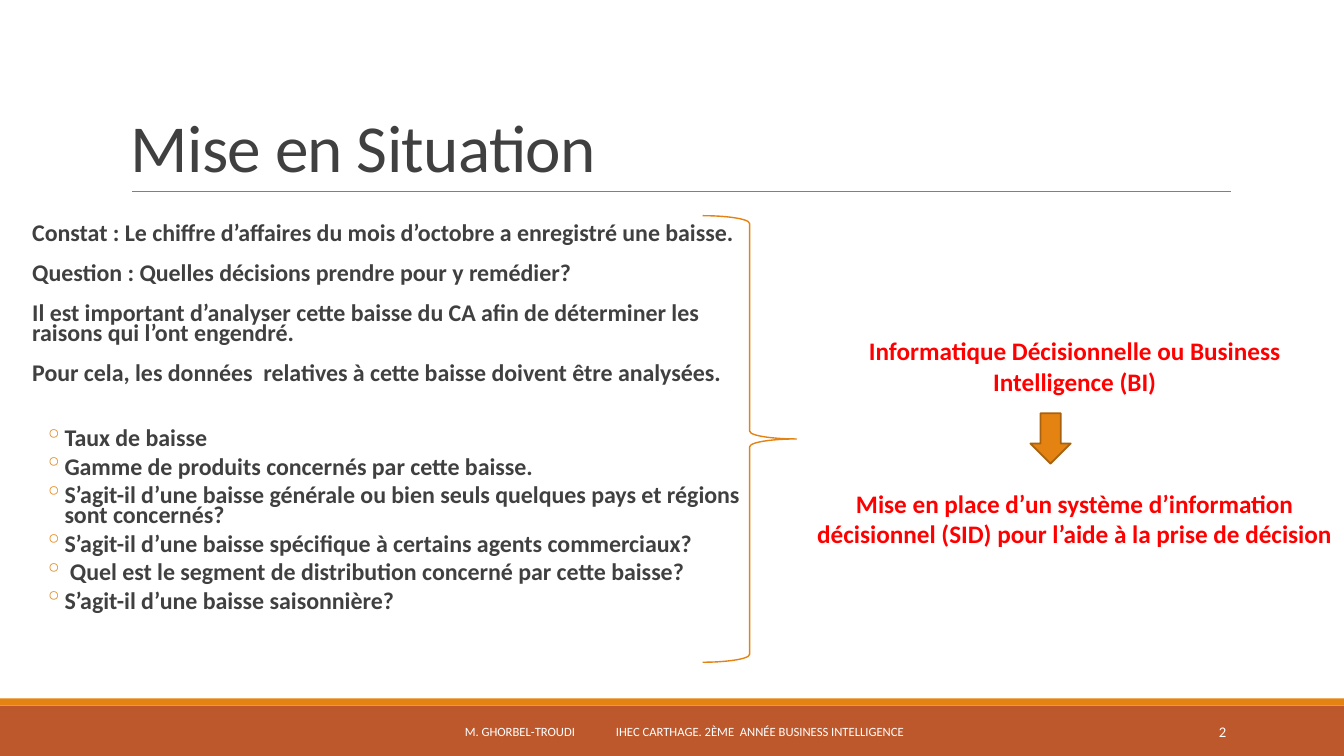
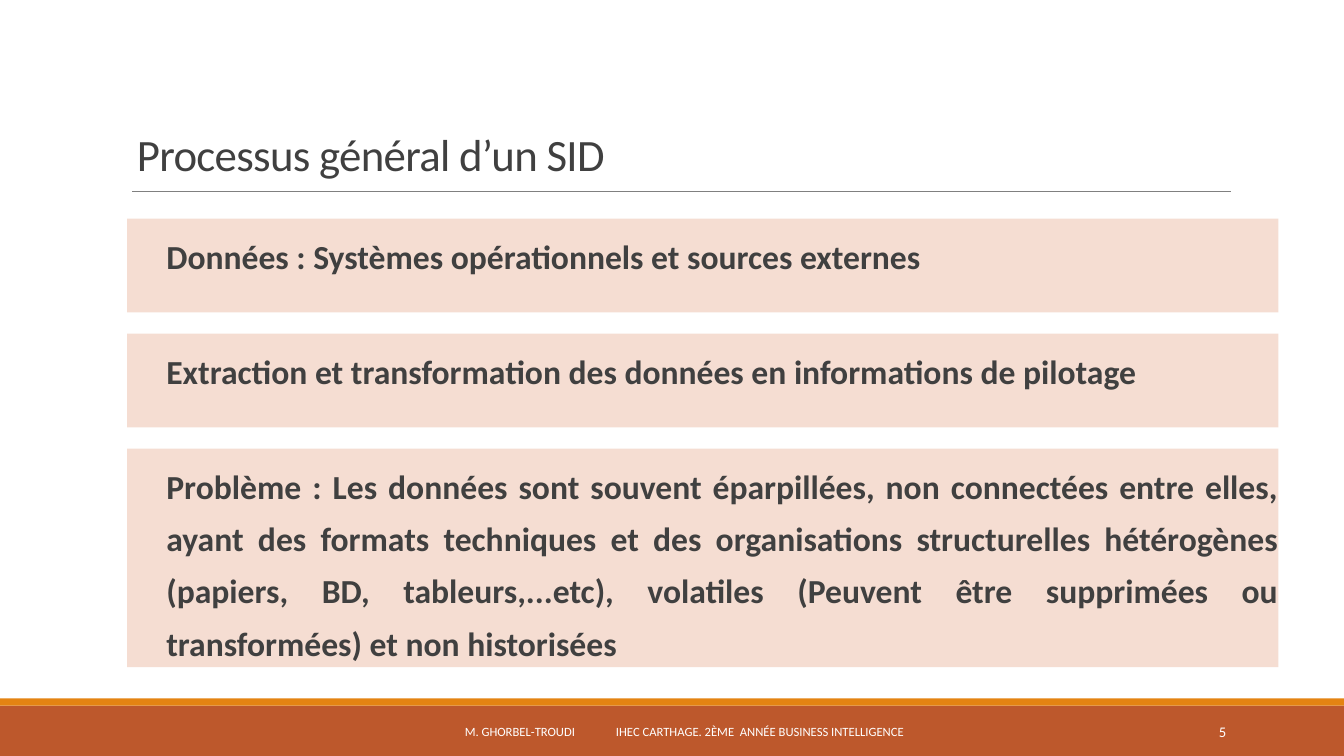
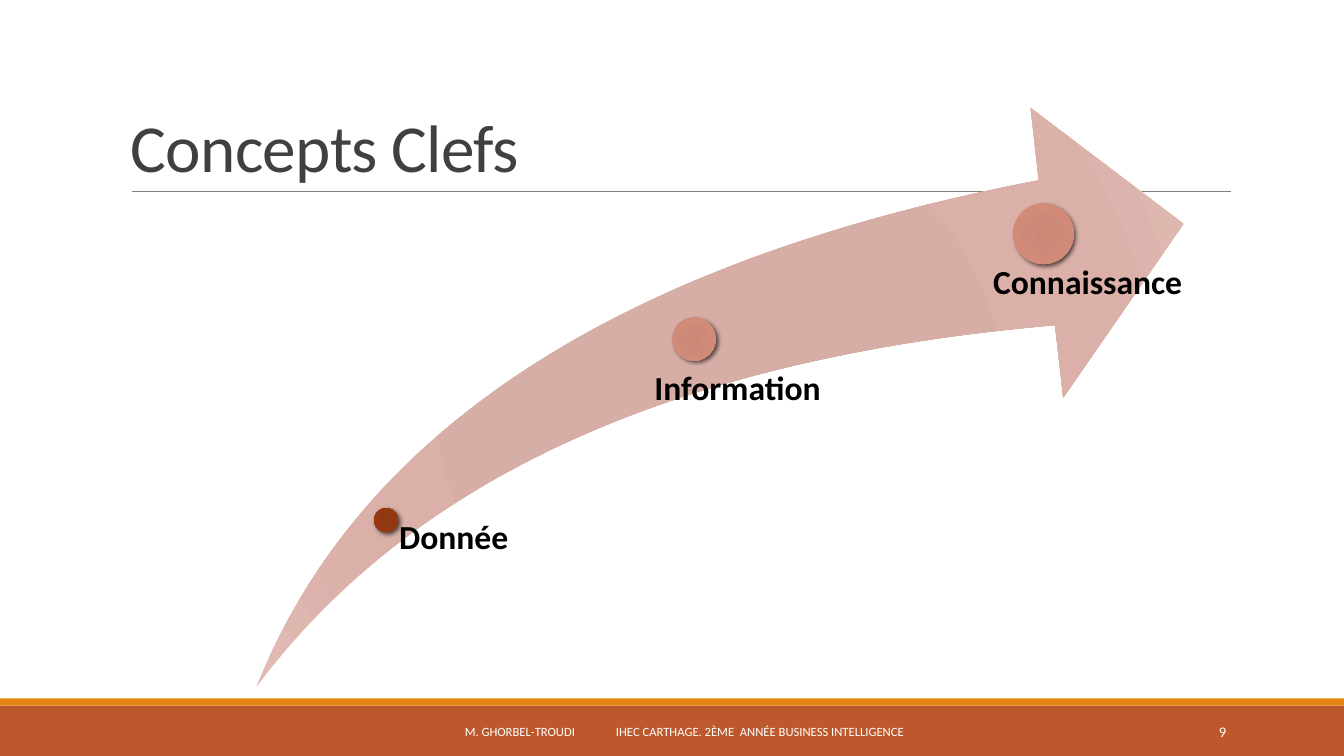
from pptx import Presentation
from pptx.dml.color import RGBColor
from pptx.enum.shapes import MSO_CONNECTOR, MSO_SHAPE
from pptx.enum.text import MSO_ANCHOR, PP_ALIGN
from pptx.oxml import parse_xml
from pptx.oxml.ns import nsdecls
from pptx.util import Pt

UNIT = 9144  # EMU in one px, 100 px to the inch
WIDE, HIGH = 1333, 750
FONT = "Calibri"
RUST, ORANGE, EDGE = "BD582C", "E48312", "A9610D"
INK, WHITE, BLACK, RED, GREY = "404040", "FFFFFF", "000000", "FF0000", "808080"
PEACH = "F5DDD2"
SWOOSH = ["D4ACA4", "D6AEA6", "DAB0A8", "E0BBB4"]
DARK = ["91370F", "903812", "953810", "913F1B"]
ROSE = ["CC8775", "CD8A78", "D18B78", "D49585"]
STOPS = [0, 34, 70, 100]


def px(n):
    return round(n * UNIT)


def color(code):
    return RGBColor.from_string(code)


def node(xml):
    """Parse one drawing element such as '<a:effectLst/>'."""
    head, mark, tail = xml.partition(">")
    slash = "/" if head.endswith("/") else ""
    return parse_xml(f"{head.rstrip('/')} {nsdecls('a')}{slash}{mark}{tail}")


# Elements

def shape(slide, kind, box, fill=None, line=None, width=1):
    item = slide.shapes.add_shape(kind, *map(px, box))
    item.shadow.inherit = False
    if fill:
        item.fill.solid()
        item.fill.fore_color.rgb = color(fill)
    else:
        item.fill.background()
    if line:
        item.line.color.rgb = color(line)
        item.line.width = Pt(width)
    else:
        item.line.fill.background()
    return item


def blend(item, tones):
    """Fill with a round gradient that starts in the lower right corner."""
    stops = "".join(
        f'<a:gs pos="{at * 1000}"><a:srgbClr val="{tone}"/></a:gs>'
        for at, tone in zip(STOPS, tones))
    grad = node(
        f'<a:gradFill rotWithShape="1"><a:gsLst>{stops}</a:gsLst>'
        '<a:path path="circle"><a:fillToRect l="100000" t="100000" '
        'r="100000" b="100000"/></a:path></a:gradFill>')
    props = item.fill._xPr
    props.replace(props.find("{*}noFill"), grad)


def shade(item):
    item._element.spPr.find("{*}effectLst").append(node(
        '<a:outerShdw blurRad="38100" dist="25400" dir="2700000">'
        '<a:srgbClr val="000000"><a:alpha val="60000"/></a:srgbClr>'
        '</a:outerShdw>'))


def rule(slide, x1, y1, x2, y2):
    line = slide.shapes.add_connector(
        MSO_CONNECTOR.STRAIGHT, *map(px, (x1, y1, x2, y2)))
    line.line.color.rgb = color(GREY)
    line.line.width = Pt(0.5)
    line._element.spPr.append(node("<a:effectLst/>"))


def area(slide, box):
    return slide.shapes.add_textbox(*map(px, box))


def text(item, *lines, size=18, ink=INK, bold=False, align=PP_ALIGN.LEFT,
         anchor=MSO_ANCHOR.TOP, inset=(10, 5, 10, 5), space=1.0, before=0,
         after=0, lead=None, left=0, hang=0, bullet=None, tab=None,
         track=None):
    """Add paragraphs to an item; lead is the space before the first one."""
    frame = item.text_frame
    frame.word_wrap = True
    frame.vertical_anchor = anchor
    (frame.margin_left, frame.margin_top,
     frame.margin_right, frame.margin_bottom) = map(px, inset)
    for i, line in enumerate(lines):
        para = frame.paragraphs[0] if not frame.text else frame.add_paragraph()
        para.alignment = align
        para.line_spacing = space
        para.space_before = Pt(lead if lead and i == 0 else before)
        para.space_after = Pt(after)
        props = para._p.get_or_add_pPr()
        props.set("marL", str(px(left)))
        props.set("indent", str(px(-hang)))
        if bullet:
            props.append(node(
                f'<a:buClr><a:srgbClr val="{ORANGE}"/></a:buClr>'))
            props.append(node(f'<a:buChar char="{bullet}"/>'))
        if tab:
            props.append(node(
                f'<a:tabLst><a:tab pos="{px(tab)}" algn="l"/></a:tabLst>'))
        run = para.add_run()
        run.text = line
        run.font.name = FONT
        run.font.size = Pt(size)
        run.font.bold = bold
        run.font.color.rgb = color(ink)
        if track:
            run._r.get_or_add_rPr().set("spc", str(track))


def base(deck, title, page, box=(120, 31, 1100, 159), size=48, space=0.85):
    """Start a slide with its bands, title and footer."""
    slide = deck.slides.add_slide(deck.slide_layouts[6])
    shape(slide, MSO_SHAPE.RECTANGLE, (0, 700, WIDE, 50), RUST)
    shape(slide, MSO_SHAPE.RECTANGLE, (0, 693, WIDE, 7), ORANGE)
    rule(slide, 131, 190, 1221, 190)
    text(area(slide, box), title, size=size, space=space,
         anchor=MSO_ANCHOR.BOTTOM, track=-50)
    text(area(slide, (403, 706, 527, 40)),
         "M. GHORBEL-TROUDI\tIHEC CARTHAGE. 2ÈME  ANNÉE BUSINESS INTELLIGENCE",
         size=9, ink=WHITE, anchor=MSO_ANCHOR.MIDDLE,
         inset=(58, 5, 10, 5), tab=126)
    text(area(slide, (1083, 706, 143, 40)), str(page), size=10.5, ink=WHITE,
         align=PP_ALIGN.RIGHT, anchor=MSO_ANCHOR.MIDDLE)
    return slide


# Slides

def context(deck):
    slide = base(deck, "Mise en Situation", 2)
    body = area(slide, (22, 219, 717, 440))
    look = dict(size=17.1, bold=True, inset=(0, 5, 0, 5), space=0.7)
    text(body,
         "Constat : Le chiffre d’affaires du mois d’octobre a enregistré une baisse.",
         "Question : Quelles décisions prendre pour y remédier?",
         "Il est important d’analyser cette baisse du CA afin de déterminer les raisons qui l’ont engendré.",
         "Pour cela, les données  relatives à cette baisse doivent être analysées.",
         before=12, after=2, left=10, **look)
    text(body,
         "Taux de baisse",
         "Gamme de produits concernés par cette baisse.",
         "S’agit-il d’une baisse générale ou bien seuls quelques pays et régions sont concernés?",
         "S’agit-il d’une baisse spécifique à certains agents commerciaux?",
         " Quel est le segment de distribution concerné par cette baisse?",
         "S’agit-il d’une baisse saisonnière?",
         before=2, after=4, lead=30.5, left=42, hang=20, bullet="◦", **look)
    shape(slide, MSO_SHAPE.RIGHT_BRACE, (697, 214, 93, 443), line=ORANGE)
    text(area(slide, (798, 328, 536, 222)),
         "Informatique Décisionnelle ou Business Intelligence (BI)",
         "Mise en place d’un système d’information décisionnel (SID) pour l’aide à la prise de décision",
         ink=RED, bold=True, align=PP_ALIGN.CENTER, before=66, lead=0.01)
    shape(slide, MSO_SHAPE.DOWN_ARROW, (1022, 410, 40, 50), ORANGE, EDGE, 1.25)


def process(deck):
    slide = base(deck, "Processus général d’un SID", 5,
                 box=(126, 104, 1053, 80), size=32, space=1.2)
    top, gap = 217, 21
    for high, line in (
            (93, "Données : Systèmes opérationnels et sources externes"),
            (93, "Extraction et transformation des données en informations de pilotage"),
            (217, "Problème : Les données sont souvent éparpillées, non connectées entre elles, ayant des formats techniques et des organisations structurelles hétérogènes (papiers, BD, tableurs,...etc), volatiles (Peuvent être supprimées ou transformées) et non historisées")):
        panel = shape(slide, MSO_SHAPE.RECTANGLE, (126, top, 1142, high), PEACH)
        text(panel, line, size=24, bold=True, align=PP_ALIGN.JUSTIFY,
             inset=(0, 5, 0, 5), space=1.3, before=12, after=2, left=39)
        top += high + gap


def concepts(deck):
    slide = base(deck, "Concepts Clefs", 9)
    arrow = shape(slide, MSO_SHAPE.SWOOSH_ARROW, (254, 107, 920, 575))
    arrow.adjustments[0] = arrow.adjustments[1] = 0.25
    blend(arrow, SWOOSH)
    for x, y, side, tones, box, pad, word in (
            (371, 504, 24, DARK, (383, 516, 214, 166), 13, "Donnée"),
            (667, 315, 43, ROSE, (626, 369, 221, 313), 23, "Information"),
            (1005, 202, 60, ROSE, (953, 263, 221, 400), 32, "Connaissance")):
        dot = shape(slide, MSO_SHAPE.OVAL, (x, y, side, side))
        blend(dot, tones)
        shade(dot)
        text(area(slide, box), word, size=24, ink=BLACK, bold=True,
             inset=(pad, 0, 0, 0), space=0.9)


def main():
    deck = Presentation()
    deck.slide_width, deck.slide_height = px(WIDE), px(HIGH)
    context(deck)
    process(deck)
    concepts(deck)
    deck.save("out.pptx")


if __name__ == "__main__":
    main()
